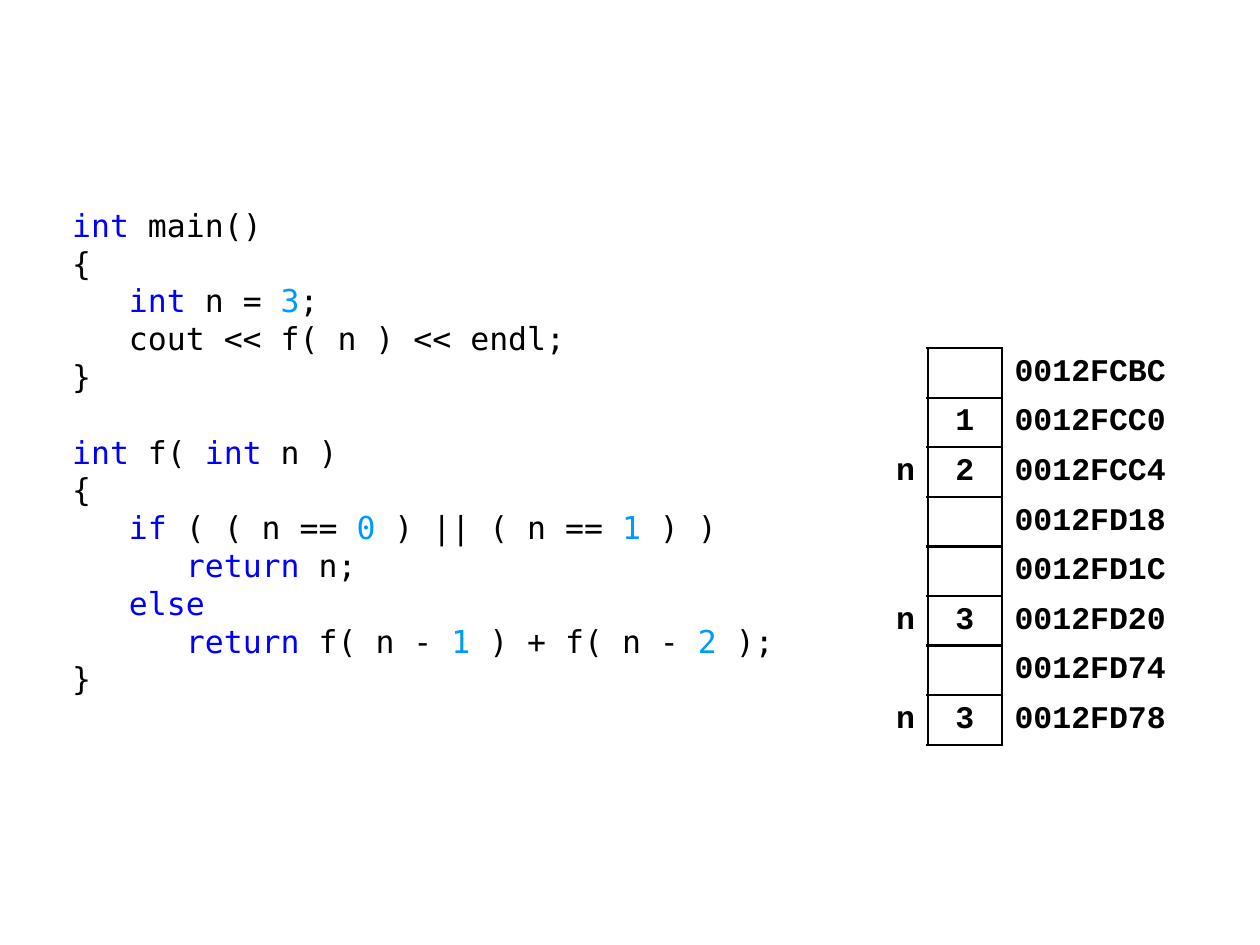
from itertools import groupby

from lxml.etree import SubElement
from pptx import Presentation
from pptx.dml.color import RGBColor
from pptx.enum.text import MSO_ANCHOR as Anchor, MSO_AUTO_SIZE as AutoSize, PP_ALIGN as Align
from pptx.oxml.ns import qn
from pptx.util import Pt

BLACK = RGBColor(0x00, 0x00, 0x00)
KEYWORD_BLUE = RGBColor(0x00, 0x00, 0xFF)
NUMBER_BLUE = RGBColor(0x00, 0x99, 0xFF)
CODE_FONT = "DejaVu Sans Mono"
MEMORY_FONT = "Courier New"
NO_TABLE_STYLE = "{2D5ABB26-0587-4C30-8999-92F81FD0307C}"
KEYWORDS = {"int", "if", "else", "return"}

CODE = """int main()
{
   int n = 3;
   cout << f( n ) << endl;
}

int f( int n )
{
   if ( ( n == 0 ) || ( n == 1 ) )
      return n;
   else
      return f( n - 1 ) + f( n - 2 );
}"""

EMPTY_ROWS = 3
MEMORY = [
    ("", "", "0012FCBC"),
    ("", "1", "0012FCC0"),
    ("n", "2", "0012FCC4"),
    ("", "", "0012FD18"),
    ("", "", "0012FD1C"),
    ("n", "3", "0012FD20"),
    ("", "", "0012FD74"),
    ("n", "3", "0012FD78"),
]
COLUMN_WIDTHS = (28.1, 42.5, 99.4)
COLUMN_ALIGNS = (Align.RIGHT, Align.CENTER, Align.LEFT)
RIGHT_MARGINS = (7.2, 7.2, 4)


def token_color(token):
    """Return the syntax colour of one code token."""
    if token in KEYWORDS:
        return KEYWORD_BLUE
    return NUMBER_BLUE if token.isdigit() else BLACK


def write_code_line(paragraph, line):
    """Write one line of code as runs coloured by syntax."""
    properties = paragraph._p.get_or_add_pPr()
    properties.set("marL", "0")
    properties.set("indent", "0")
    SubElement(properties, qn("a:buNone"))
    paragraph.line_spacing = Pt(21.6)
    paragraph.space_before = paragraph.space_after = Pt(0)
    tokens = ["".join(chars) for _, chars in groupby(line, str.isalnum)]
    for color, group in groupby(tokens, token_color):
        run = paragraph.add_run()
        run.text = "".join(group)
        run.font.name = CODE_FONT
        run.font.size = Pt(18)
        run.font.color.rgb = color


def place_code(body, left, top, width, height):
    """Fill the body placeholder with the program listing."""
    body.left, body.top, body.width, body.height = Pt(left), Pt(top), Pt(width), Pt(height)
    frame = body.text_frame
    frame.auto_size = AutoSize.NONE
    frame.vertical_anchor = Anchor.TOP
    for index, line in enumerate(CODE.splitlines()):
        paragraph = frame.add_paragraph() if index else frame.paragraphs[0]
        write_code_line(paragraph, line)


def set_borders(cell, sides):
    """Draw black lines on the given sides of a cell."""
    for side in sides:
        line = SubElement(cell._tc.get_or_add_tcPr(), qn(f"a:ln{side}"), w=str(Pt(1.5)))
        fill = SubElement(line, qn("a:solidFill"))
        SubElement(fill, qn("a:srgbClr"), val=str(BLACK))


def border_sides(row, column):
    """Return the sides to draw so that the value column of used rows is boxed."""
    if row >= EMPTY_ROWS:
        return ("R", "LRTB", "L")[column]
    return "B" if row == EMPTY_ROWS - 1 and column == 1 else ""


def place_memory(slide, left, top, width, height):
    """Draw the stack as a table of names, values and addresses."""
    rows = [("", "", "")] * EMPTY_ROWS + MEMORY
    frame = slide.shapes.add_table(len(rows), 3, Pt(left), Pt(top), Pt(width), Pt(height))
    table = frame.table
    table.first_row = table.horz_banding = False
    table._tbl.tblPr.find(qn("a:tableStyleId")).text = NO_TABLE_STYLE
    for column, column_width in zip(table.columns, COLUMN_WIDTHS):
        column.width = Pt(column_width)
    for row_index, row in enumerate(rows):
        table.rows[row_index].height = Pt(height / len(rows))
        for column_index, text in enumerate(row):
            cell = table.cell(row_index, column_index)
            set_borders(cell, border_sides(row_index, column_index))
            cell.fill.background()
            cell.vertical_anchor = Anchor.MIDDLE
            cell.margin_top = cell.margin_bottom = Pt(3)
            cell.margin_right = Pt(RIGHT_MARGINS[column_index])
            cell.text_frame.text = text
            paragraph = cell.text_frame.paragraphs[0]
            paragraph.alignment = COLUMN_ALIGNS[column_index]
            for run in paragraph.runs:
                run.font.name = MEMORY_FONT
                run.font.size = Pt(18)
                run.font.bold = True
                run.font.color.rgb = BLACK


def main():
    """Build and save the slide."""
    presentation = Presentation()
    presentation.slide_width, presentation.slide_height = Pt(720), Pt(540)
    slide = presentation.slides.add_slide(presentation.slide_layouts[1])
    title = slide.shapes.title
    title.element.getparent().remove(title.element)
    place_code(slide.placeholders[1], 34, 114, 425.5, 297.5)
    place_memory(slide, 502, 114, sum(COLUMN_WIDTHS), 311.74)
    presentation.save("out.pptx")


if __name__ == "__main__":
    main()
